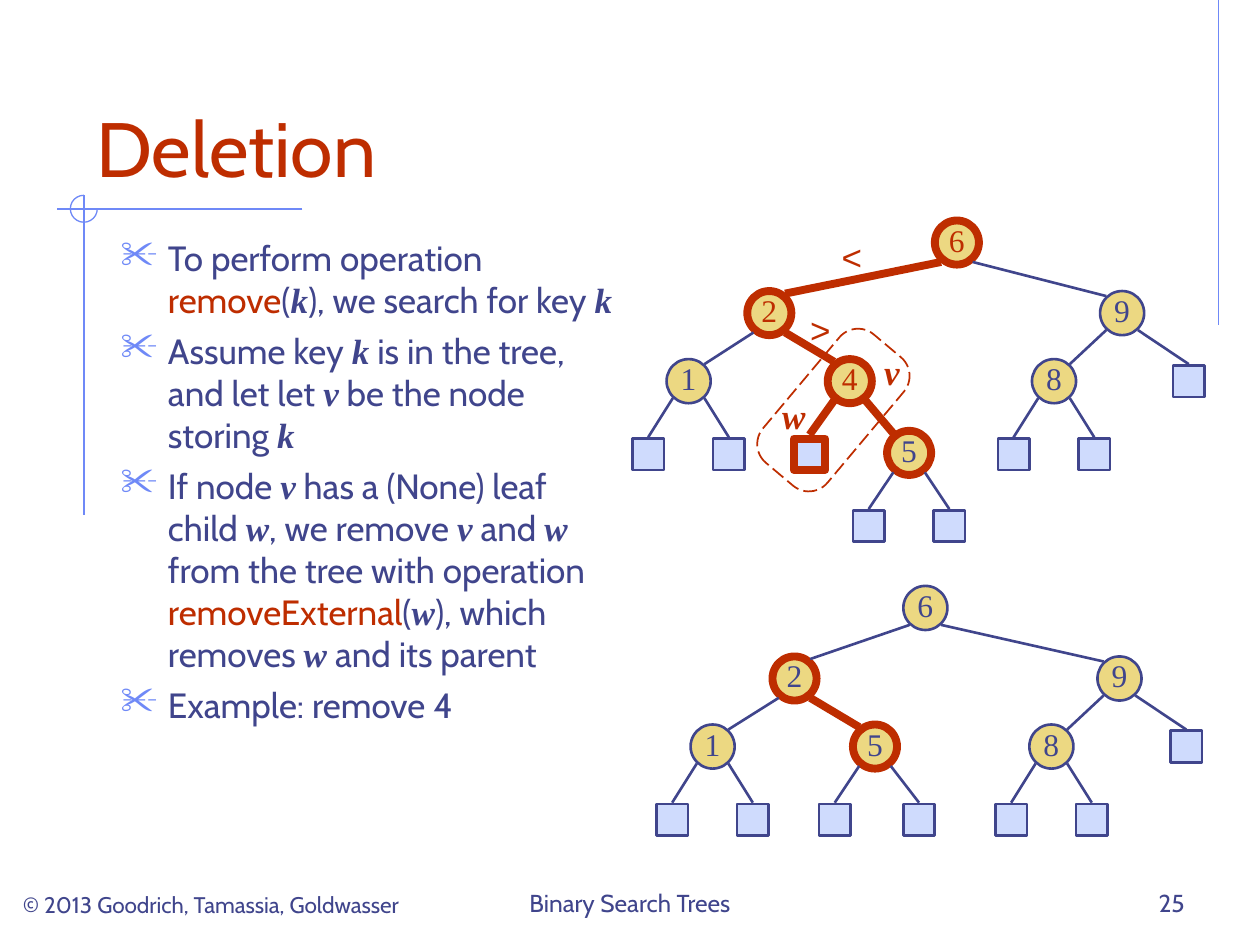
from lxml.etree import SubElement
from pptx import Presentation
from pptx.dml.color import RGBColor
from pptx.enum.dml import MSO_LINE
from pptx.enum.shapes import MSO_CONNECTOR, MSO_SHAPE
from pptx.enum.text import MSO_ANCHOR, PP_ALIGN
from pptx.oxml.ns import qn
from pptx.util import Pt

COLORS = {
    "ink": "40458C",
    "accent": "BE2D00",
    "rule": "6F89F7",
    "node": "ECD882",
    "leaf": "CFDBFD",
}
STYLES = {
    "plain": {"name": "Cabin", "color": "ink"},
    "code": {"name": "Cabin", "color": "accent"},
    "variable": {"name": "Times New Roman", "color": "ink", "bold": True, "italic": True},
    "mark": {"name": "Times New Roman", "color": "accent", "bold": True, "italic": True},
    "sign": {"name": "Arial", "color": "accent"},
    "key": {"name": "Times New Roman", "color": "ink"},
    "path_key": {"name": "Times New Roman", "color": "accent"},
}


def add_line(start, end, color, width):
    line = slide.shapes.add_connector(
        MSO_CONNECTOR.STRAIGHT, *[Pt(value) for value in (*start, *end)]
    )
    line.line.color.rgb = RGBColor.from_string(COLORS[color])
    line.line.width = Pt(width)
    SubElement(line._element.spPr, qn("a:effectLst"))


def add_run(paragraph, text, style, size):
    run = paragraph.add_run()
    run.text = text
    run.font.size = Pt(size)
    for attribute, value in STYLES[style].items():
        if attribute == "color":
            run.font.color.rgb = RGBColor.from_string(COLORS[value])
        else:
            setattr(run.font, attribute, value)


presentation = Presentation()
presentation.slide_width = Pt(720)
presentation.slide_height = Pt(540)
slide = presentation.slides.add_slide(presentation.slide_layouts[6])

for start, end in [
    ((696.2, 0), (696.2, 186)),
    ((172.8, 119.4), (32.4, 119.4)),
    ((48, 111.6), (48, 294.5)),
]:
    add_line(start, end, "rule", 0.75)

arc = slide.shapes.add_shape(MSO_SHAPE.ARC, Pt(40.2), Pt(111.6), Pt(15.4), Pt(15.4))
arc.adjustments[0] = 0
arc.adjustments[1] = 162
arc.shadow.inherit = False
arc.fill.background()
arc.line.color.rgb = RGBColor.from_string(COLORS["rule"])
arc.line.width = Pt(0.75)

labels = [
    ("Deletion", "code", 44, (48, 24, 630, 90), PP_ALIGN.LEFT, MSO_ANCHOR.BOTTOM, True),
    ("© 2013 Goodrich, Tamassia, Goldwasser", "plain", 12.9, (6, 492, 276, 36),
     PP_ALIGN.LEFT, MSO_ANCHOR.BOTTOM, True),
    ("Binary Search Trees", "plain", 14, (246, 492, 228, 36),
     PP_ALIGN.CENTER, MSO_ANCHOR.BOTTOM, True),
    ("25", "plain", 14, (516, 492, 168, 36), PP_ALIGN.RIGHT, MSO_ANCHOR.BOTTOM, True),
]

bullets = [
    [("To perform operation ", "plain"), ("remove", "code"), ("(", "plain"),
     ("k", "variable"), ("), we search for key ", "plain"), ("k", "variable")],
    [("Assume key ", "plain"), ("k", "variable"), (" is in the tree, and let let ", "plain"),
     ("v", "variable"), (" be the node storing ", "plain"), ("k", "variable")],
    [("If node ", "plain"), ("v", "variable"), (" has a (None) leaf child ", "plain"),
     ("w", "variable"), (", we remove ", "plain"), ("v", "variable"), (" and ", "plain"),
     ("w", "variable"), (" from the tree with operation ", "plain"),
     ("removeExternal", "code"), ("(", "plain"), ("w", "variable"),
     ("), which removes ", "plain"), ("w", "variable"), (" and its parent", "plain")],
    [("Example: remove 4", "plain")],
]
body = slide.shapes.add_textbox(Pt(61.9), Pt(131.8), Pt(298.1), Pt(347.8))
body.text_frame.word_wrap = True
for index, runs in enumerate(bullets):
    paragraph = body.text_frame.add_paragraph() if index else body.text_frame.paragraphs[0]
    if index:
        paragraph.space_before = Pt(5)
    properties = paragraph._p.get_or_add_pPr()
    properties.set("marL", str(Pt(27)))
    properties.set("indent", str(Pt(-27)))
    SubElement(SubElement(properties, qn("a:buClr")), qn("a:srgbClr"), val=COLORS["rule"])
    SubElement(properties, qn("a:buSzPct"), val="110000")
    SubElement(properties, qn("a:buChar"), char="✂")
    for text, style in runs:
        add_run(paragraph, text, style, 20)

search_tree = {
    "root": ("6", None, 546.8, 138.6, True),
    "two": ("2", "root", 439.6, 178.9, True),
    "nine": ("9", "root", 641.2, 178.9, False),
    "one": ("1", "two", 393.5, 217.8, False),
    "four": ("4", "two", 485.6, 217.8, True),
    "eight": ("8", "nine", 602.3, 217.8, False),
    "nine_right": ("", "nine", 679.3, 217.8, False),
    "one_left": ("", "one", 370.4, 259.6, False),
    "one_right": ("", "one", 416.5, 259.6, False),
    "four_left": ("", "four", 462.6, 259.6, True),
    "five": ("5", "four", 519.5, 258.8, True),
    "eight_left": ("", "eight", 579.2, 259.6, False),
    "eight_right": ("", "eight", 625.3, 259.6, False),
    "five_left": ("", "five", 496.4, 300.6, False),
    "five_right": ("", "five", 542.5, 300.6, False),
}
result_tree = {
    "root": ("6", None, 528.8, 347.4, False),
    "two": ("2", "root", 454, 387.7, True),
    "nine": ("9", "root", 639.7, 387.7, False),
    "one": ("1", "two", 407.2, 426.6, False),
    "five": ("5", "two", 500, 426.6, True),
    "eight": ("8", "nine", 600.8, 426.6, False),
    "nine_right": ("", "nine", 677.9, 426.6, False),
    "one_left": ("", "one", 384.1, 468.4, False),
    "one_right": ("", "one", 430.2, 468.4, False),
    "five_left": ("", "five", 477, 468.4, False),
    "five_right": ("", "five", 525.2, 468.4, False),
    "eight_left": ("", "eight", 577.8, 468.4, False),
    "eight_right": ("", "eight", 623.9, 468.4, False),
}
LINE = {True: ("accent", 4.5), False: ("ink", 1.5)}
REACH = {True: 11.1, False: 9.7}

for tree, path_keys in [(search_tree, "624"), (result_tree, "")]:
    for key, parent, x, y, marked in tree.values():
        size = 25.2 if key else 18
        node = slide.shapes.add_shape(
            MSO_SHAPE.OVAL if key else MSO_SHAPE.RECTANGLE,
            Pt(x - size / 2), Pt(y - size / 2), Pt(size), Pt(size),
        )
        color, width = LINE[marked]
        node.shadow.inherit = False
        node.fill.solid()
        node.fill.fore_color.rgb = RGBColor.from_string(COLORS["node" if key else "leaf"])
        node.line.color.rgb = RGBColor.from_string(COLORS[color])
        node.line.width = Pt(width)
        if key:
            frame_format = {
                "margin_left": 0, "margin_right": 0, "margin_top": 0,
                "margin_bottom": Pt(3.6), "word_wrap": False,
                "vertical_anchor": MSO_ANCHOR.MIDDLE,
            }
            for attribute, value in frame_format.items():
                setattr(node.text_frame, attribute, value)
            paragraph = node.text_frame.paragraphs[0]
            paragraph.alignment = PP_ALIGN.CENTER
            add_run(paragraph, key, "path_key" if key in path_keys else "key", 18)
    for key, parent, x, y, marked in tree.values():
        if parent:
            _, _, parent_x, parent_y, parent_marked = tree[parent]
            side = 9 if x > parent_x else -9
            start = (parent_x + side, parent_y + REACH[parent_marked])
            end = (x - side if key else x, y - REACH[marked])
            add_line(start, end, *LINE[marked and parent_marked])

outline = slide.shapes.add_shape(
    MSO_SHAPE.ROUNDED_RECTANGLE, Pt(428.4), Pt(210.2), Pt(95.8), Pt(48.2)
)
outline.adjustments[0] = 0.29
outline.rotation = 310
outline.shadow.inherit = False
outline.fill.background()
outline.line.color.rgb = RGBColor.from_string(COLORS["accent"])
outline.line.width = Pt(1)
outline.line.dash_style = MSO_LINE.LONG_DASH

for text, style, left, top, width in [
    ("v", "mark", 498.2, 196.6, 23),
    ("w", "mark", 439.9, 221.8, 27.4),
    ("<", "sign", 473.8, 131, 25.9),
    (">", "sign", 455.8, 172.8, 25.9),
]:
    labels.append((text, style, 20, (left, top, width, 31.7),
                   PP_ALIGN.CENTER, MSO_ANCHOR.TOP, False))

for text, style, size, box, alignment, anchor, wrap in labels:
    label = slide.shapes.add_textbox(*[Pt(value) for value in box])
    label.text_frame.word_wrap = wrap
    label.text_frame.vertical_anchor = anchor
    paragraph = label.text_frame.paragraphs[0]
    paragraph.alignment = alignment
    add_run(paragraph, text, style, size)

presentation.save("out.pptx")
